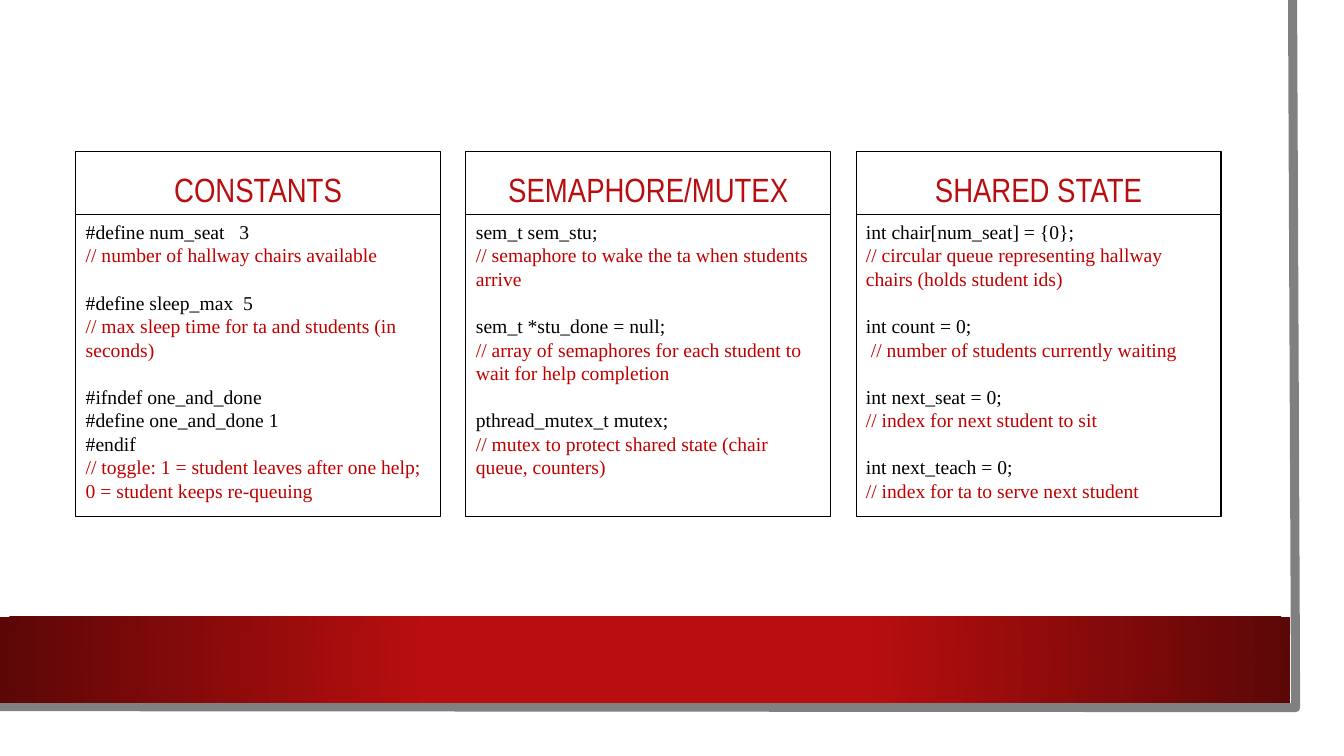
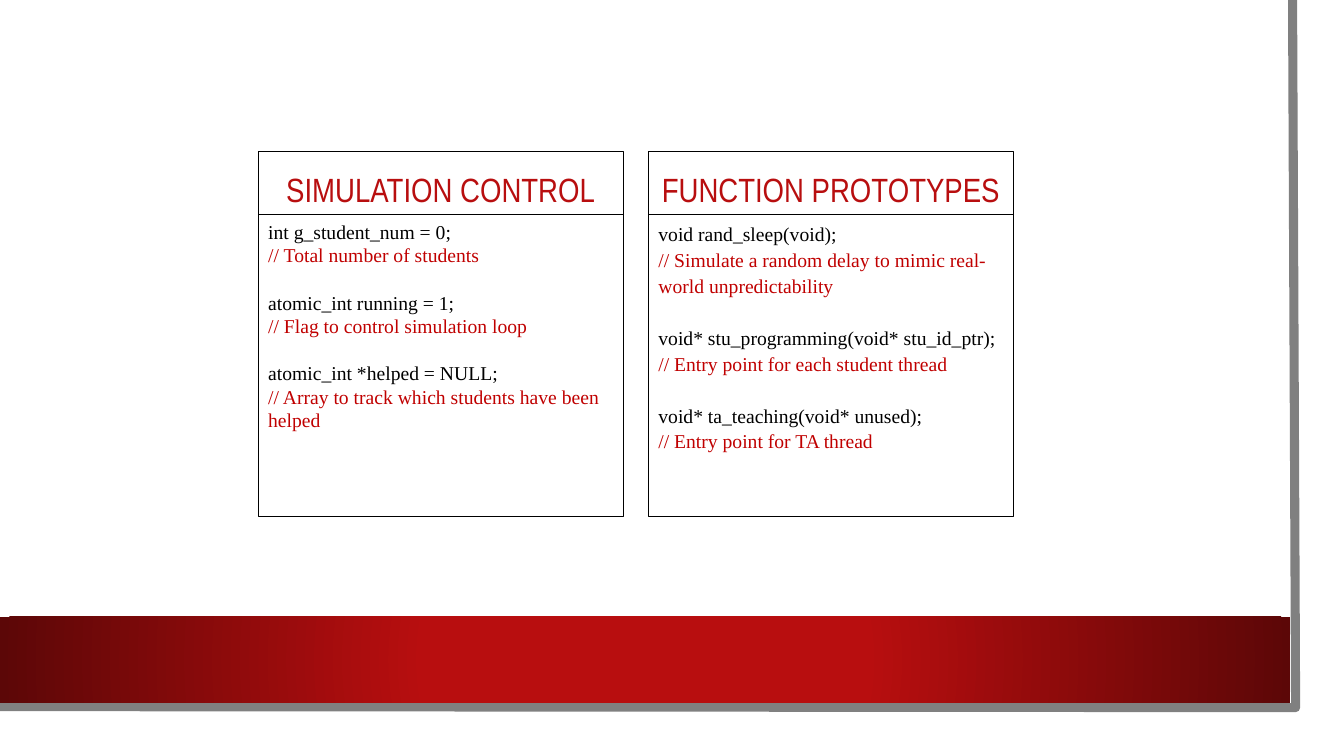
"""Build two slides of code cards on a red-banded sheet."""
import pptx
import pptx.util
import pptx.dml.color
import pptx.enum.shapes
import pptx.enum.text
import pptx.oxml.ns
import lxml.etree

Inches = pptx.util.Inches
Pt = pptx.util.Pt
RGB = pptx.dml.color.RGBColor
ANCHOR = pptx.enum.text.MSO_ANCHOR
ALIGN = pptx.enum.text.PP_ALIGN
RECT = pptx.enum.shapes.MSO_SHAPE.RECTANGLE
qn = pptx.oxml.ns.qn

WHITE = RGB(0xFF, 0xFF, 0xFF)
BLACK = RGB(0x00, 0x00, 0x00)
GREY = RGB(0x80, 0x80, 0x80)
RED = RGB(0xB8, 0x0E, 0x0F)
DARK = RGB(0x5C, 0x07, 0x07)
NOTE = RGB(0xC0, 0x00, 0x00)
HEAD_FONT, CODE_FONT = "Arial Narrow", "Times New Roman"

WIDTH, HEIGHT = 13.33, 7.5
TOP, CARD, GAP = 1.5, 3.62, 0.25
HEAD_ROW, CODE_ROW = 0.63, 2.99
LINE = 16.9

STATE = [
    ("CONSTANTS", 1, [
        "#define num_seat   3",
        "// number of hallway chairs available",
        "#define sleep_max  5",
        "// max sleep time for ta and students (in seconds)",
        "#ifndef one_and_done",
        "#define one_and_done 1",
        "#endif",
        "// toggle: 1 = student leaves after one help; 0 = student keeps re-queuing",
    ]),
    ("SEMAPHORE/MUTEX", 1, [
        "sem_t sem_stu;",
        "// semaphore to wake the ta when students arrive",
        "sem_t *stu_done = null;",
        "// array of semaphores for each student to wait for help completion",
        "pthread_mutex_t mutex;",
        "// mutex to protect shared state (chair queue, counters)",
    ]),
    ("SHARED STATE", 1, [
        "int chair[num_seat] = {0};",
        "// circular queue representing hallway chairs (holds student ids)",
        "int count = 0;",
        " // number of students currently waiting",
        "int next_seat = 0;",
        "// index for next student to sit",
        "int next_teach = 0;",
        "// index for ta to serve next student",
    ]),
]
CONTROL = [
    ("SIMULATION CONTROL", 1, [
        "int g_student_num = 0;",
        "// Total number of students",
        "atomic_int running = 1;",
        "// Flag to control simulation loop",
        "atomic_int *helped = NULL;",
        "// Array to track which students have been helped",
    ]),
    ("FUNCTION PROTOTYPES", 1.1, [
        "void rand_sleep(void);",
        "// Simulate a random delay to mimic real-world unpredictability",
        "void* stu_programming(void* stu_id_ptr);",
        "// Entry point for each student thread",
        "void* ta_teaching(void* unused);",
        "// Entry point for TA thread",
    ]),
]


def add_rect(slide, x, y, w, h):
    """Add a rectangle without outline or shadow."""
    rect = slide.shapes.add_shape(RECT, *map(Inches, (x, y, w, h)))
    rect.shadow.inherit = False
    rect.line.fill.background()
    return rect


def add_band(slide, x, y, w, h):
    """Add the red band, which darkens away from its centre."""
    band = add_rect(slide, x, y, w, h)
    band.fill.gradient()
    for stop, color, place in zip(band.fill.gradient_stops, (RED, DARK), (0.34, 1)):
        stop.color.rgb = color
        stop.position = place
    grad = band.element.spPr.find(qn("a:gradFill"))
    grad.remove(grad.find(qn("a:lin")))
    shade = lxml.etree.SubElement(grad, qn("a:path"), {"path": "circle"})
    lxml.etree.SubElement(shade, qn("a:fillToRect"), dict.fromkeys("ltrb", "50000"))
    return band


def add_edge(slide, w, h):
    """Add the grey edge along the right and bottom of the sheet."""
    pen = slide.shapes.build_freeform(Inches(w - 0.03), 0)
    pen.add_line_segments(
        [(Inches(w), Inches(h)), (Inches(-0.03), Inches(h - 0.01))], close=False)
    edge = pen.convert_to_shape()
    edge.shadow.inherit = False
    edge.fill.background()
    edge.line.color.rgb = GREY
    edge.line.width = Pt(6.5)
    return edge


def set_back(deck, slide):
    """Draw the shared sheet, edge and band and move them to the master."""
    sheet = add_rect(slide, 0, 0, 13.1, 7.27)
    sheet.fill.solid()
    sheet.fill.fore_color.rgb = WHITE
    parts = [sheet, add_edge(slide, 12.85, 7.02), add_band(slide, 0, 6.12, 12.8, 0.85)]
    tree = deck.slide_master.shapes.element
    for rank, part in enumerate(parts):
        part.element.xpath(".//p:cNvPr")[0].set("id", str(100 + rank))
        tree.insert(2 + rank, part.element)


def set_box(shape, box, anchor):
    """Place a text shape and give it a thin black outline."""
    shape.left, shape.top, shape.width, shape.height = map(Inches, box)
    shape.line.color.rgb = BLACK
    shape.line.width = Pt(0.75)
    frame = shape.text_frame
    frame.word_wrap = True
    frame.auto_size = pptx.enum.text.MSO_AUTO_SIZE.NONE
    frame.vertical_anchor = anchor
    return frame


def set_para(para, font, size, color, align, space, before):
    """Format one paragraph without bullet or indent."""
    para.alignment = align
    para.line_spacing = space
    para.space_before = Pt(before)
    para.space_after = Pt(0)
    props = para._p.get_or_add_pPr()
    props.set("marL", "0")
    props.set("indent", "0")
    lxml.etree.SubElement(props, qn("a:buNone"))
    for run in para.runs:
        run.font.name = font
        run.font.size = Pt(size)
        run.font.bold = False
        run.font.color.rgb = color


def add_card(head, body, x, y, title, space, lines):
    """Fill a heading shape and the code shape below it."""
    frame = set_box(head, (x, y, CARD, HEAD_ROW), ANCHOR.BOTTOM)
    frame.text = title
    set_para(frame.paragraphs[0], HEAD_FONT, 24, RED, ALIGN.CENTER, 0.9, 10)
    frame = set_box(body, (x, y + HEAD_ROW, CARD, CODE_ROW), ANCHOR.TOP)
    frame.text = "\n".join(lines)
    after = False
    for para in frame.paragraphs:
        note = para.text.strip().startswith("//")
        gap = LINE * space if after and not note else 0
        set_para(para, CODE_FONT, 14, NOTE if note else BLACK, ALIGN.LEFT, space, gap)
        after = note


def add_cards(slide, left, cards):
    """Lay out a row of cards, with text boxes once placeholders run out."""
    title = slide.shapes.title.element
    title.getparent().remove(title)
    slots = list(slide.placeholders)
    while len(slots) < 2 * len(cards):
        slots.append(slide.shapes.add_textbox(0, 0, 0, 0))
    for rank, card in enumerate(cards):
        head, body = slots[2 * rank:2 * rank + 2]
        add_card(head, body, left + rank * (CARD + GAP), TOP, *card)


def main():
    """Build and save the deck."""
    deck = pptx.Presentation()
    deck.slide_width, deck.slide_height = Inches(WIDTH), Inches(HEIGHT)
    layout = deck.slide_layouts.get_by_name("Comparison")
    for left, cards in ((0.75, STATE), (2.56, CONTROL)):
        add_cards(deck.slides.add_slide(layout), left, cards)
    set_back(deck, deck.slides[0])
    deck.save("out.pptx")


if __name__ == "__main__":
    main()
